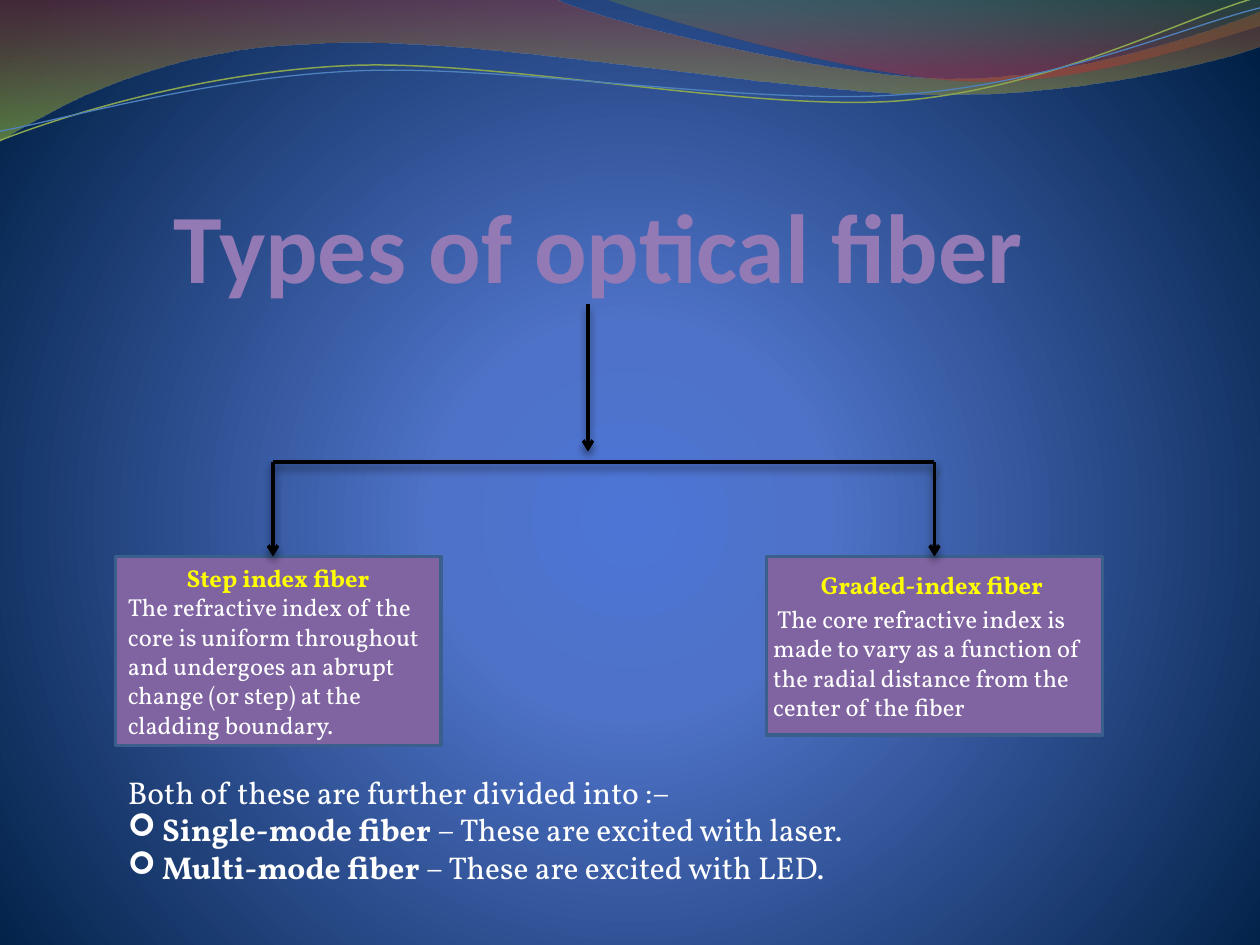
import math
import pptx
import pptx.util
import pptx.oxml
from pptx.dml.color import RGBColor
from pptx.enum.shapes import MSO_CONNECTOR, MSO_SHAPE
from pptx.enum.text import MSO_ANCHOR, MSO_AUTO_SIZE, PP_ALIGN
from pptx.oxml.ns import nsdecls, qn

PX = 9525  # EMU in one px, 96 px to the inch
W, H = 960, 720

BLACK = RGBColor(0x00, 0x00, 0x00)
WHITE = RGBColor(0xFF, 0xFF, 0xFF)
YELLOW = RGBColor(0xFF, 0xFF, 0x00)
LILAC = RGBColor(0x93, 0x7A, 0xB4)
PURPLE = RGBColor(0x80, 0x64, 0xA2)
BORDER = RGBColor(0x3A, 0x5F, 0x8C)
STEEL = RGBColor(0x39, 0x5F, 0x8D)
OLIVE = RGBColor(0x89, 0xA5, 0x4F)
BLUE = RGBColor(0x4F, 0x81, 0xBD)
SKY = RGBColor(0x4D, 0x75, 0xD6)
MID_BLUE = RGBColor(0x4E, 0x72, 0xC7)
NAVY = RGBColor(0x00, 0x1F, 0x44)
RED = RGBColor(0x97, 0x33, 0x30)
LIME = RGBColor(0x95, 0xC2, 0x38)
MOSS = RGBColor(0x76, 0x95, 0x37)
CRIMSON = RGBColor(0xBE, 0x33, 0x30)

DOWN = '<a:lin ang="5400000" scaled="0"/>'
CIRCLE = ('<a:path path="circle"><a:fillToRect l="10000" t="110000" '
          'r="10000" b="100000"/></a:path>')
SHADOW = ('<a:outerShdw blurRad="57150" dist="38100" dir="5400000" rotWithShape="0">'
          '<a:srgbClr val="000000"><a:alpha val="48000"/></a:srgbClr></a:outerShdw>')


def box_emu(box):
    return [v * PX for v in box]


def set_gradient(parent, stops, direction):
    """Swap the solid fill in parent for a gradient of (percent, colour, opacity) stops."""
    gs = "".join(
        f'<a:gs pos="{pos * 1000}"><a:srgbClr val="{color}">'
        + (f'<a:alpha val="{alpha * 1000}"/>' if alpha < 100 else "")
        + '</a:srgbClr></a:gs>'
        for pos, color, alpha in stops)
    grad = pptx.oxml.parse_xml(
        f'<a:gradFill {nsdecls("a")} rotWithShape="1">'
        f'<a:gsLst>{gs}</a:gsLst>{direction}</a:gradFill>')
    parent.replace(parent.find(qn("a:solidFill")), grad)


def add_text(p, text, font="Vollkorn", size=14, color=WHITE, bold=False,
             align=PP_ALIGN.LEFT, before=0):
    p.alignment = align
    p.space_before = pptx.util.Pt(before)
    r = p.add_run()
    r.text = text
    r.font.name, r.font.size, r.font.bold = font, pptx.util.Pt(size), bold
    r.font.color.rgb = color


def set_margins(tf, margin):
    tf.margin_left = tf.margin_right = tf.margin_top = tf.margin_bottom = margin * PX


def turn(points, center, degrees):
    """Points turned clockwise about center."""
    (cx, cy), a = center, math.radians(degrees)
    return [(cx + (x - cx) * math.cos(a) - (y - cy) * math.sin(a),
             cy + (x - cx) * math.sin(a) + (y - cy) * math.cos(a)) for x, y in points]


def add_path(s, start, parts, center=(0, 0), rotation=0):
    """Freeform whose parts are line ends (x, y) or Bézier curves of three points."""
    points = [start] + [part[i:i + 2] for part in parts for i in range(0, len(part), 2)]
    points = [(round(x * PX), round(y * PX)) for x, y in turn(points, center, -rotation)]
    fb = s.shapes.build_freeform(*points[0], scale=1.0)
    fb.add_line_segments(points[1:], close=rotation == 0)
    sp = fb.convert_to_shape()
    sp.rotation = rotation
    sp.shadow.inherit = False
    path = next(sp.element.spPr.iter(qn("a:path")))
    lines = iter(path.findall(qn("a:lnTo")))
    for part in parts:
        segment = next(lines)
        if len(part) == 6:
            segment.tag = qn("a:cubicBezTo")
            for extra in (next(lines), next(lines)):
                segment.append(extra[0])
                path.remove(extra)
    return sp


def add_wave_band(s, start, parts, stops):
    sp = add_path(s, start, parts)
    sp.fill.solid()
    set_gradient(sp.element.spPr, stops, DOWN)
    sp.line.fill.background()


def add_wave_line(s, start, parts, center, color, width):
    sp = add_path(s, start, parts, center, rotation=357.3)
    sp.fill.background()
    sp.line.color.rgb = color
    sp.line.width = pptx.util.Pt(width)


def add_backdrop(s):
    s.background.fill.solid()
    set_gradient(s.element.cSld.bg.bgPr,
                 [(0, SKY, 100), (25, MID_BLUE, 100), (100, NAVY, 100)], CIRCLE)
    add_wave_band(s, (0, 0),
                  [(422, -1), (457, 16, 637, 60, 728, 60), (819, 60, 920, 25, 960, 9),
                   (961, 35), (944, 42, 835, 73, 716, 72), (597, 72, 367, 27, 247, 33),
                   (124, 35, 44, 80, -1, 108), (0, 0)],
                  [(0, RED, 45), (100, LIME, 55)])
    add_wave_band(s, (460, -1),
                  [(489, 11, 655, 60, 738, 62), (822, 66, 923, 31, 960, 20),
                   (960, 0), (460, -1)],
                  [(0, MOSS, 30), (80, CRIMSON, 45)])
    add_wave_line(s, (0, 107),
                  [(46, 89, 152, 55, 266, 50), (379, 45, 569, 85, 684, 77),
                   (800, 68, 900, 14, 958, -2)], (479, 55), OLIVE, 0.85)
    add_wave_line(s, (0, 100),
                  [(45, 92, 157, 59, 272, 54), (387, 49, 573, 81, 688, 72),
                   (803, 64, 903, 20, 960, 6)], (480, 57), BLUE, 0.75)


def add_title(s, box):
    tf = s.shapes.add_textbox(*box_emu(box)).text_frame
    tf.word_wrap = True
    tf.vertical_anchor = MSO_ANCHOR.BOTTOM
    set_margins(tf, 0)
    add_text(tf.paragraphs[0], "Types of optical fiber", font="Calibri", size=56,
             color=LILAC, bold=True, align=PP_ALIGN.CENTER)


def add_fiber_box(s, box, heading, body, margin=None, before=0):
    sp = s.shapes.add_shape(MSO_SHAPE.RECTANGLE, *box_emu(box))
    sp.shadow.inherit = False
    sp.fill.solid()
    sp.fill.fore_color.rgb = PURPLE
    sp.line.color.rgb = BORDER
    sp.line.width = pptx.util.Pt(2)
    tf = sp.text_frame
    tf.word_wrap = True
    tf.vertical_anchor = MSO_ANCHOR.MIDDLE
    if margin is not None:
        set_margins(tf, margin)
    add_text(tf.paragraphs[0], heading, color=YELLOW, bold=True,
             align=PP_ALIGN.CENTER, before=before)
    add_text(tf.add_paragraph(), body, before=before)
    return sp


def add_line(s, x1, y1, x2, y2, color=BLACK, width=2, arrow=True, shadow=True):
    cx = s.shapes.add_connector(MSO_CONNECTOR.STRAIGHT, *box_emu((x1, y1, x2, y2)))
    cx.line.color.rgb = color
    cx.line.width = pptx.util.Pt(width)
    spPr = cx.element.spPr
    if arrow:
        spPr.find(qn("a:ln")).append(
            pptx.oxml.parse_xml(f'<a:tailEnd {nsdecls("a")} type="arrow"/>'))
    spPr.append(pptx.oxml.parse_xml(
        f'<a:effectLst {nsdecls("a")}>{SHADOW if shadow else ""}</a:effectLst>'))
    return cx


def add_tree(s, stem_x, stem_y, left, right, bar_y, box_y, right_box):
    """Stem below the title, crossbar, and one arrow down to each fiber box."""
    add_line(s, stem_x, stem_y, stem_x, bar_y - 8)
    add_line(s, left, bar_y, right, bar_y, arrow=False)
    add_line(s, left, bar_y, left, box_y)
    add_line(s, right, bar_y, right, bar_y + 16, color=STEEL, width=0.75, shadow=False)
    add_line(s, right, bar_y, right, box_y).end_connect(right_box, 0)


def add_modes(s, box):
    tf = s.shapes.add_textbox(*box_emu(box)).text_frame
    tf.word_wrap = True
    tf.auto_size = MSO_AUTO_SIZE.SHAPE_TO_FIT_TEXT
    add_text(tf.paragraphs[0], "Both of these are further divided into :−", size=18)
    for mode, source in (("Single", "laser"), ("Multi", "LED")):
        p = tf.add_paragraph()
        add_text(p, f" {mode}-mode fiber", size=18, bold=True)
        add_text(p, f" − These are excited with {source}.", size=18)
        pPr = p._p.get_or_add_pPr()
        for bullet in ('buFont {} typeface="Wingdings" charset="2"', 'buChar {} char="➢"'):
            pPr.append(pptx.oxml.parse_xml(f'<a:{bullet.format(nsdecls("a"))}/>'))


def main():
    prs = pptx.Presentation()
    prs.slide_width, prs.slide_height = W * PX, H * PX
    s = prs.slides.add_slide(prs.slide_layouts[6])
    add_backdrop(s)
    add_title(s, (48, 88, 816, 143))
    add_fiber_box(s, (88, 424, 248, 144), "Step index fiber",
                  "The refractive index of the core is uniform throughout and "
                  "undergoes an abrupt change (or step) at the cladding boundary.")
    graded = add_fiber_box(s, (584, 424, 256, 136), "Graded-index fiber ",
                           " The core refractive index is made to vary as a function "
                           "of the radial distance from the center of the fiber",
                           margin=5, before=2.8)
    add_tree(s, stem_x=448, stem_y=232, left=208, right=712, bar_y=352, box_y=424,
             right_box=graded)
    add_modes(s, (88, 584, 752, 97))
    prs.save("out.pptx")


if __name__ == "__main__":
    main()
